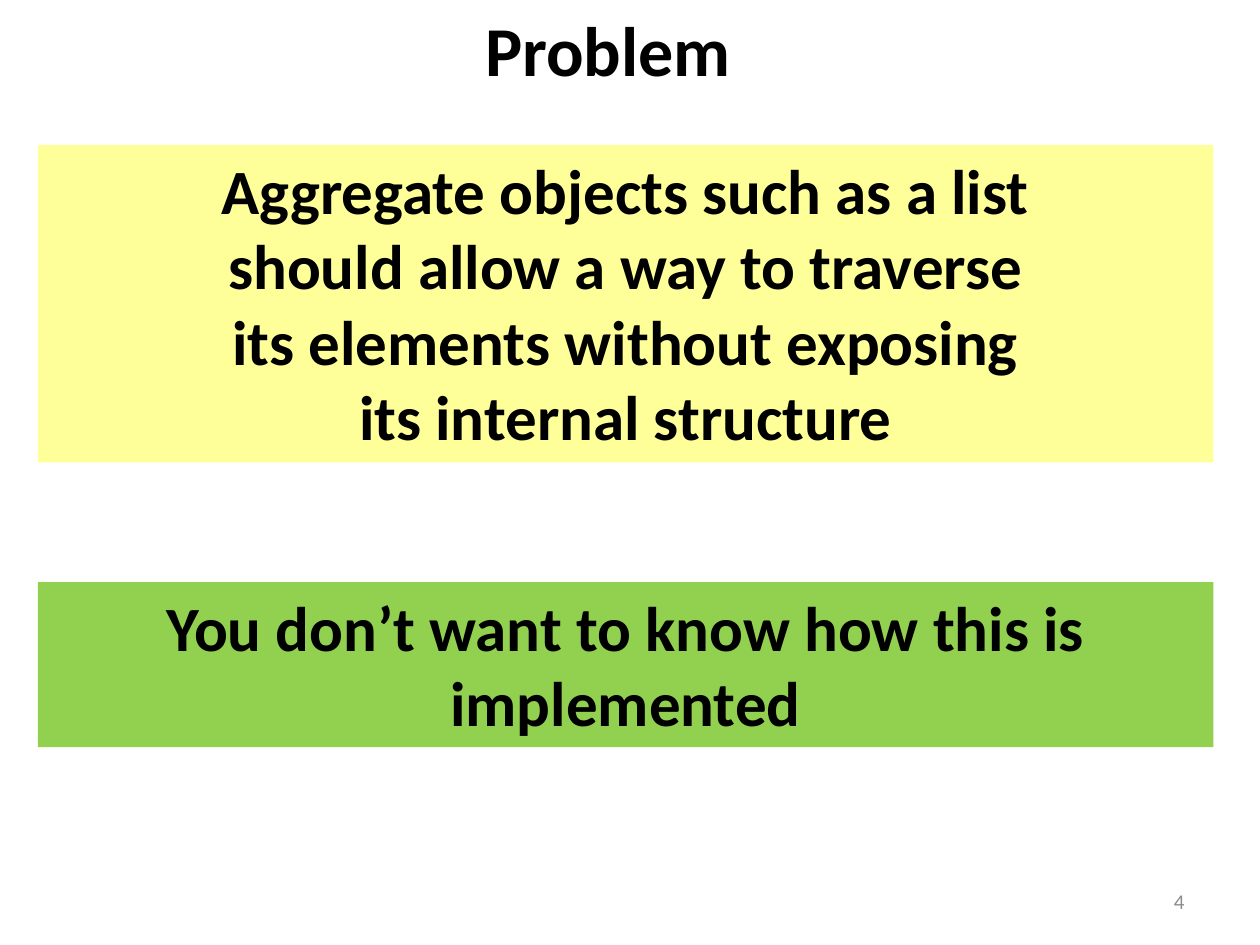
from pptx import Presentation
from pptx.dml.color import RGBColor
from pptx.enum.shapes import MSO_SHAPE
from pptx.enum.text import MSO_ANCHOR, PP_ALIGN
from pptx.util import Inches, Pt

BLACK = RGBColor(0x00, 0x00, 0x00)
GRAY = RGBColor(0x8C, 0x8C, 0x8C)
YELLOW = RGBColor(0xFF, 0xFF, 0x99)
GREEN = RGBColor(0x92, 0xD0, 0x50)
RECTANGLE = MSO_SHAPE.RECTANGLE
TOP, MIDDLE = MSO_ANCHOR.TOP, MSO_ANCHOR.MIDDLE
CENTER, RIGHT = PP_ALIGN.CENTER, PP_ALIGN.RIGHT
FONT = "Calibri"

TITLE = "Problem"
PAGE = "4"
PANELS = [
    (1.15, 2.52, YELLOW, [
        "Aggregate objects such as a list",
        "should allow a way to traverse",
        "its elements without exposing",
        "its internal structure",
    ]),
    (4.62, 1.31, GREEN, ["You don’t want to know how this is implemented"]),
]
PANEL_LEFT, PANEL_WIDTH = 0.3, 9.33


def place(sp, left, top, width, height):
    sp.left, sp.top = Inches(left), Inches(top)
    sp.width, sp.height = Inches(width), Inches(height)


def write(sp, lines, size, color, bold, align, anchor):
    tf = sp.text_frame
    tf.text = "\n".join(lines)
    tf.word_wrap = True
    tf.vertical_anchor = anchor
    for p in tf.paragraphs:
        p.alignment = align
        p.font.name = FONT
        p.font.size = Pt(size)
        p.font.bold = bold
        p.font.color.rgb = color


prs = Presentation()
prs.slide_width, prs.slide_height = Inches(10), Inches(7.5)
s = prs.slides.add_slide(prs.slide_layouts[5])

title = s.shapes.title
place(title, 3.74, 0, 2.17, 0.77)
write(title, [TITLE], 40, BLACK, True, CENTER, TOP)
title.text_frame.word_wrap = False

for top, height, fill, lines in PANELS:
    sp = s.shapes.add_shape(RECTANGLE, 0, 0, 0, 0)
    place(sp, PANEL_LEFT, top, PANEL_WIDTH, height)
    sp.shadow.inherit = False
    sp.fill.solid()
    sp.fill.fore_color.rgb = fill
    sp.line.fill.background()
    write(sp, lines, 36, BLACK, True, CENTER, TOP)

page = s.shapes.add_textbox(0, 0, 0, 0)
place(page, 7.17, 6.95, 2.33, 0.4)
write(page, [PAGE], 12, GRAY, False, RIGHT, MIDDLE)

prs.save("out.pptx")
